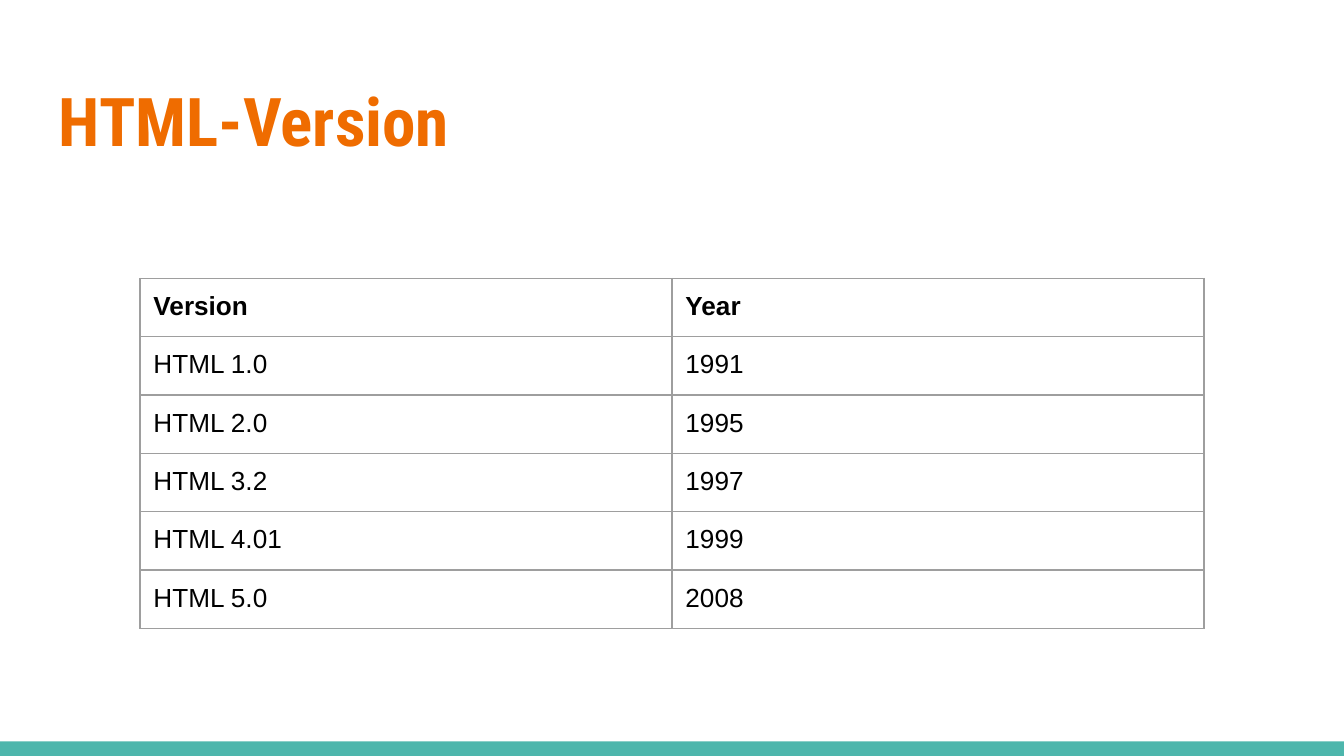
from typing import NamedTuple

from lxml import etree
from pptx import Presentation
from pptx.dml.color import RGBColor
from pptx.enum.shapes import MSO_SHAPE
from pptx.enum.text import MSO_ANCHOR
from pptx.oxml.ns import qn
from pptx.util import Pt

RECT = MSO_SHAPE.RECTANGLE
TOP = MSO_ANCHOR.TOP

TEAL = RGBColor(0x4D, 0xB6, 0xAC)
ORANGE = RGBColor(0xEF, 0x6C, 0x00)
BLACK = RGBColor(0x00, 0x00, 0x00)
GRAY = RGBColor(0x9E, 0x9E, 0x9E)

SLIDE_W, SLIDE_H = 720, 405
BAR_H = 7.8
INSET = Pt(7.2)
TABLE_LEFT, TABLE_TOP = 75, 149.2
COL_W, ROW_H = 285, 30.1
BORDER_W = Pt(0.75)


class Release(NamedTuple):
    version: str
    year: str


HEADER = Release("Version", "Year")
RELEASES = [
    Release("HTML 1.0", "1991"),
    Release("HTML 2.0", "1995"),
    Release("HTML 3.2", "1997"),
    Release("HTML 4.01", "1999"),
    Release("HTML 5.0", "2008"),
]


def style_paragraph(p, text: str, font: str, size: float,
                    color: RGBColor, bold: bool) -> None:
    p.text = text
    p.font.name = font
    p.font.size = Pt(size)
    p.font.color.rgb = color
    p.font.bold = bold


def set_insets(box) -> None:
    box.margin_left = box.margin_right = INSET
    box.margin_top = box.margin_bottom = INSET


def add_borders(cell) -> None:
    tc_pr = cell._tc.get_or_add_tcPr()
    for i, side in enumerate(("lnL", "lnR", "lnT", "lnB")):
        ln = etree.Element(qn(f"a:{side}"), w=str(BORDER_W))
        fill = etree.SubElement(ln, qn("a:solidFill"))
        etree.SubElement(fill, qn("a:srgbClr"), val=str(GRAY))
        tc_pr.insert(i, ln)  # borders come before the cell fill


def add_footer_bar(slide) -> None:
    sp = slide.shapes.add_shape(RECT, 0, Pt(SLIDE_H - BAR_H),
                                Pt(SLIDE_W), Pt(BAR_H))
    sp.shadow.inherit = False
    sp.fill.solid()
    sp.fill.fore_color.rgb = TEAL
    sp.line.fill.background()


def add_title(slide, text: str) -> None:
    sp = slide.shapes.add_textbox(Pt(24.5), Pt(35.3), Pt(671), Pt(55.4))
    tf = sp.text_frame
    tf.word_wrap = True
    tf.vertical_anchor = TOP
    set_insets(tf)
    style_paragraph(tf.paragraphs[0], text, "Roboto Condensed", 36, ORANGE, True)


def add_release_table(slide, rows: list[Release]) -> None:
    n_cols = len(HEADER)
    frame = slide.shapes.add_table(len(rows), n_cols, Pt(TABLE_LEFT), Pt(TABLE_TOP),
                                   Pt(n_cols * COL_W), Pt(len(rows) * ROW_H))
    table = frame.table
    table.horz_banding = False
    for col in table.columns:
        col.width = Pt(COL_W)
    for i, release in enumerate(rows):
        table.rows[i].height = Pt(ROW_H)
        for j, text in enumerate(release):
            cell = table.cell(i, j)
            cell.fill.background()
            cell.vertical_anchor = TOP
            set_insets(cell)
            add_borders(cell)
            style_paragraph(cell.text_frame.paragraphs[0], text, "Arial", 14,
                            BLACK, i == 0)


def main() -> None:
    prs = Presentation()
    prs.slide_width, prs.slide_height = Pt(SLIDE_W), Pt(SLIDE_H)
    slide = prs.slides.add_slide(prs.slide_layouts[6])

    # Footer bar, title and version table
    add_footer_bar(slide)
    add_title(slide, "HTML-Version")
    add_release_table(slide, [HEADER, *RELEASES])

    prs.save("out.pptx")


if __name__ == "__main__":
    main()
